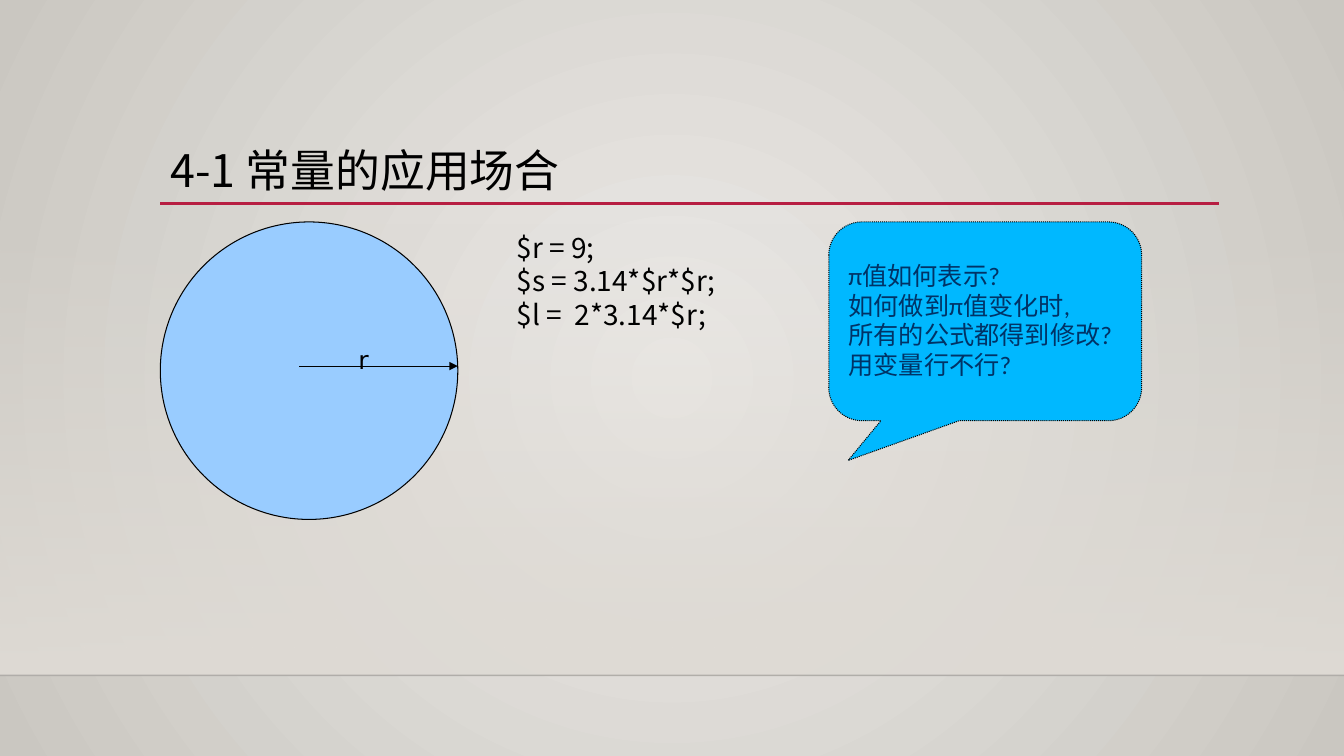
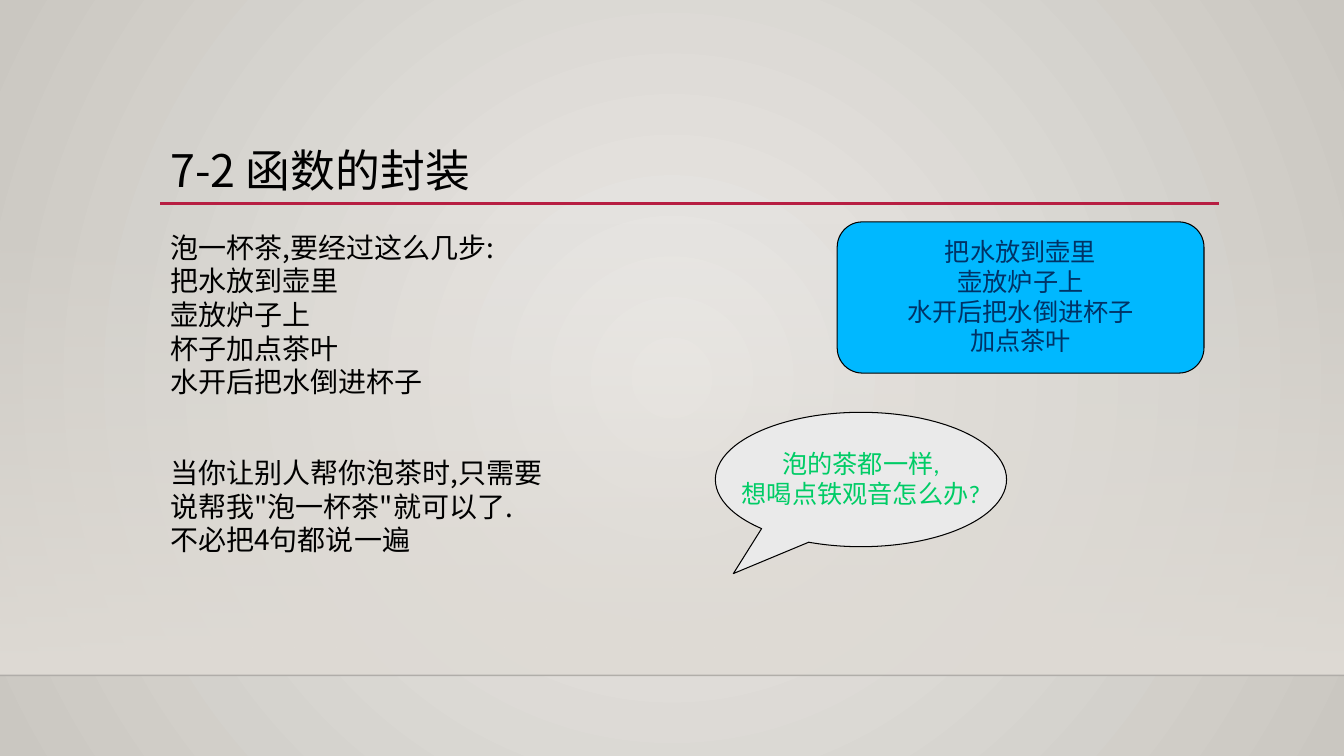
from lxml import etree
from pptx import Presentation
from pptx.dml.color import RGBColor
from pptx.enum.dml import MSO_LINE
from pptx.enum.shapes import MSO_CONNECTOR, MSO_SHAPE
from pptx.enum.text import MSO_ANCHOR, PP_ALIGN
from pptx.oxml.ns import qn
from pptx.util import Pt

STRAIGHT = MSO_CONNECTOR.STRAIGHT
LEFT, CENTER = PP_ALIGN.LEFT, PP_ALIGN.CENTER
TOP, MIDDLE = MSO_ANCHOR.TOP, MSO_ANCHOR.MIDDLE
DOTTED = MSO_LINE.ROUND_DOT

COLORS = {
    "center": "ECEAE7", "edge": "CAC7C1", "band": "DFDBD5",
    "floor": "000001", "rule": "B71E42", "black": "000000",
    "circle": "99CCFF", "blue": "00B8FF", "navy": "003366",
    "gray": "EAEAEA", "green": "00CC66",
}
CJK, LATIN, LABEL = "Noto Sans CJK SC", "Calibri", "DejaVu Sans"

WIDTH, HEIGHT = 960, 540
MARGIN = 114.5
CONTENT_TOP = 158.5
FLOOR = 482.4
TAIL = (-0.438, 0.7)


def rgb(name):
    return RGBColor.from_string(COLORS[name])


def set_alpha(color_element, percent):
    alpha = etree.SubElement(color_element, qn("a:alpha"))
    alpha.set("val", str(percent * 1000))


def set_gradient(fill, first, last):
    fill.gradient()
    for stop, name in zip(fill.gradient_stops, (first, last)):
        stop.color.rgb = rgb(name)


def set_background(master):
    set_gradient(master.background.fill, "center", "edge")
    gradient = next(master.element.iter(qn("a:gradFill")))
    linear = gradient.find(qn("a:lin"))
    circle = etree.Element(qn("a:path"), {"path": "circle"})
    sides = dict.fromkeys("ltrb", "50000")
    etree.SubElement(circle, qn("a:fillToRect"), sides)
    gradient.replace(linear, circle)


def add_line(slide, start, end, color, width, arrow=False, alpha=None):
    line = slide.shapes.add_connector(STRAIGHT, *map(Pt, start + end))
    line.line.color.rgb = rgb(color)
    line.line.width = Pt(width)
    properties = line.element.spPr
    etree.SubElement(properties, qn("a:effectLst"))
    outline = properties.find(qn("a:ln"))
    if arrow:
        etree.SubElement(outline, qn("a:tailEnd"), {"type": "triangle"})
    if alpha is not None:
        set_alpha(next(outline.iter(qn("a:srgbClr"))), alpha)


def write(frame, lines, font, size, color, spacing, align=LEFT):
    for index, text in enumerate(lines):
        paragraph = frame.add_paragraph() if index else frame.paragraphs[0]
        paragraph.alignment = align
        paragraph.line_spacing = spacing
        run = paragraph.add_run()
        run.text = text
        run.font.name = font
        run.font.size = Pt(size)
        run.font.color.rgb = rgb(color)
        east_asian = etree.SubElement(run.font._element, qn("a:ea"))
        east_asian.set("typeface", font)


def add_text(slide, box, lines, font=CJK, size=20, spacing=Pt(24), inset=6):
    frame = slide.shapes.add_textbox(*map(Pt, box)).text_frame
    frame.word_wrap = True
    frame.vertical_anchor = TOP
    frame.margin_top = Pt(inset)
    write(frame, lines, font, size, "black", spacing)


def add_figure(slide, kind, box, fill, lines=(), color="navy", align=CENTER,
               adjustments=(), dash=None):
    shape = slide.shapes.add_shape(kind, *map(Pt, box))
    shape.shadow.inherit = False
    shape.fill.solid()
    shape.fill.fore_color.rgb = rgb(fill)
    shape.line.color.rgb = rgb("black")
    shape.line.width = Pt(0.75)
    if dash is not None:
        shape.line.dash_style = dash
    for index, value in enumerate(adjustments):
        shape.adjustments[index] = value
    frame = shape.text_frame
    frame.word_wrap = False
    frame.vertical_anchor = MIDDLE
    write(frame, lines, LATIN, 18, color, 0.98, align)


def add_titled_slide(presentation, title):
    slide = presentation.slides.add_slide(presentation.slide_layouts[5])

    # Fading wall, floor edge and title rule
    band = slide.shapes.add_shape(
        MSO_SHAPE.RECTANGLE, 0, Pt(159), Pt(WIDTH), Pt(FLOOR - 159))
    band.shadow.inherit = False
    band.line.fill.background()
    set_gradient(band.fill, "band", "band")
    band.fill.gradient_angle = 270
    set_alpha(next(band.element.spPr.iter(qn("a:srgbClr"))), 0)
    add_line(slide, (0, FLOOR), (WIDTH, FLOOR), "floor", 1, alpha=20)
    add_line(slide, (MARGIN, 145.4), (871, 145.4), "rule", 2.5)

    # Title
    heading = slide.shapes.title
    heading.left, heading.top = Pt(MARGIN), Pt(102.5)
    heading.width, heading.height = Pt(756), Pt(42.5)
    heading.text_frame.vertical_anchor = MIDDLE
    write(heading.text_frame, [title], CJK, 32, "black", 0.9)
    return slide


def build_constants(presentation):
    slide = add_titled_slide(presentation, "4-1 常量的应用场合")
    add_text(slide, (362, CONTENT_TOP, 194.5, 271.5),
             ["$r = 9;", "$s = 3.14*$r*$r;", "$l =  2*3.14*$r;"])

    # Circle with its radius
    add_figure(slide, MSO_SHAPE.OVAL,
               (MARGIN, CONTENT_TOP, 212.5, 212.5), "circle")
    add_line(slide, (213.7, 261.5), (327, 261.5), "black", 0.75, arrow=True)
    add_text(slide, (249, 243.5, 28, 36), ["r"], LABEL, 18, 0.98, 3.6)

    # Questions
    add_figure(slide, MSO_SHAPE.ROUNDED_RECTANGULAR_CALLOUT,
               (592, CONTENT_TOP, 223.5, 142), "blue",
               ["π值如何表示?", "如何做到π值变化时,",
                "所有的公式都得到修改?", "用变量行不行?"],
               align=LEFT, adjustments=TAIL + (0.167,), dash=DOTTED)


def build_functions(presentation):
    slide = add_titled_slide(presentation, "7-2 函数的封装")

    # Steps and conclusion
    add_text(slide, (MARGIN, CONTENT_TOP, 297.5, 136),
             ["泡一杯茶,要经过这么几步:", "把水放到壶里", "壶放炉子上",
              "杯子加点茶叶", "水开后把水倒进杯子"])
    add_text(slide, (MARGIN, 319.5, 297.5, 96),
             ["当你让别人帮你泡茶时,只需要说帮我\"泡一杯茶\"就可以了.",
              "不必把4句都说一遍"])

    # Wrapped procedure and question
    add_figure(slide, MSO_SHAPE.FLOWCHART_ALTERNATE_PROCESS,
               (598, CONTENT_TOP, 262, 108), "blue",
               ["把水放到壶里", "壶放炉子上", "水开后把水倒进杯子", "加点茶叶"])
    add_figure(slide, MSO_SHAPE.OVAL_CALLOUT, (511, 294.5, 208, 96), "gray",
               ["泡的茶都一样,", "想喝点铁观音怎么办?"], "green",
               adjustments=TAIL)


def main():
    presentation = Presentation()
    presentation.slide_width = Pt(WIDTH)
    presentation.slide_height = Pt(HEIGHT)
    set_background(presentation.slide_master)
    build_constants(presentation)
    build_functions(presentation)
    presentation.save("out.pptx")


if __name__ == "__main__":
    main()
